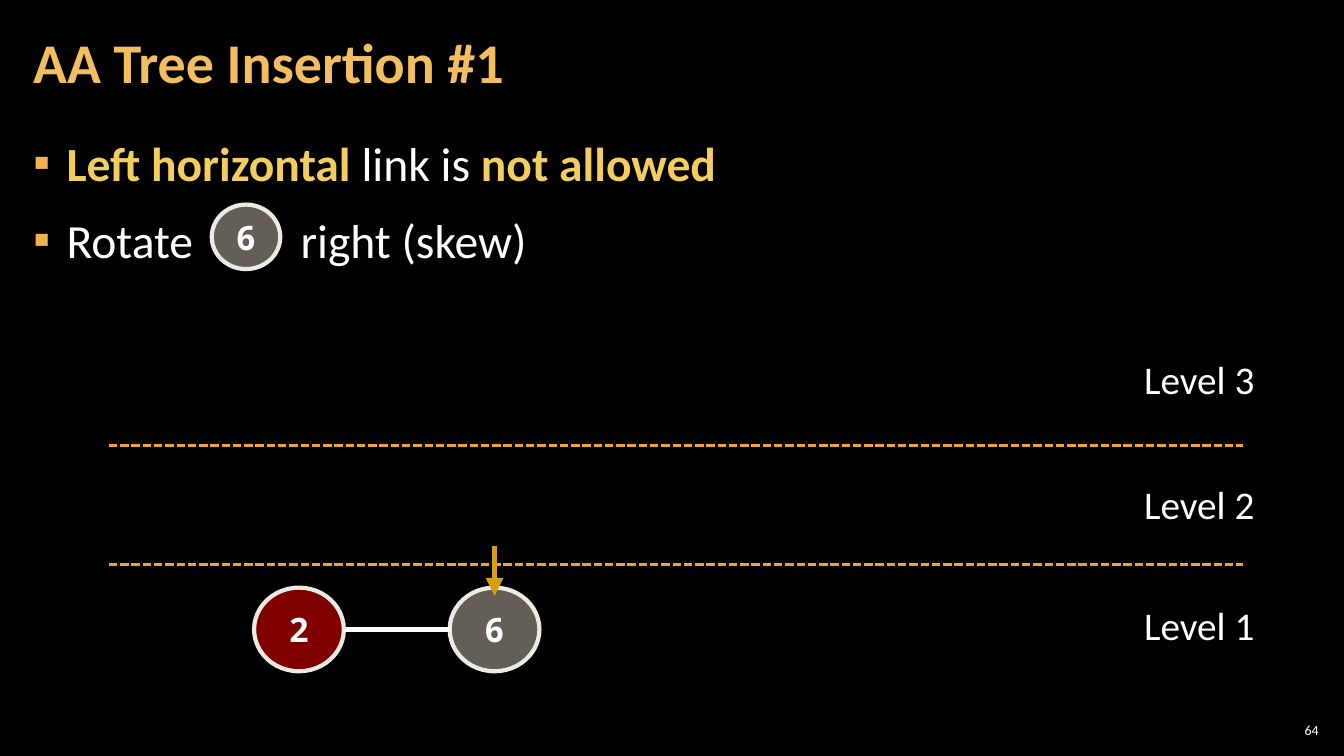
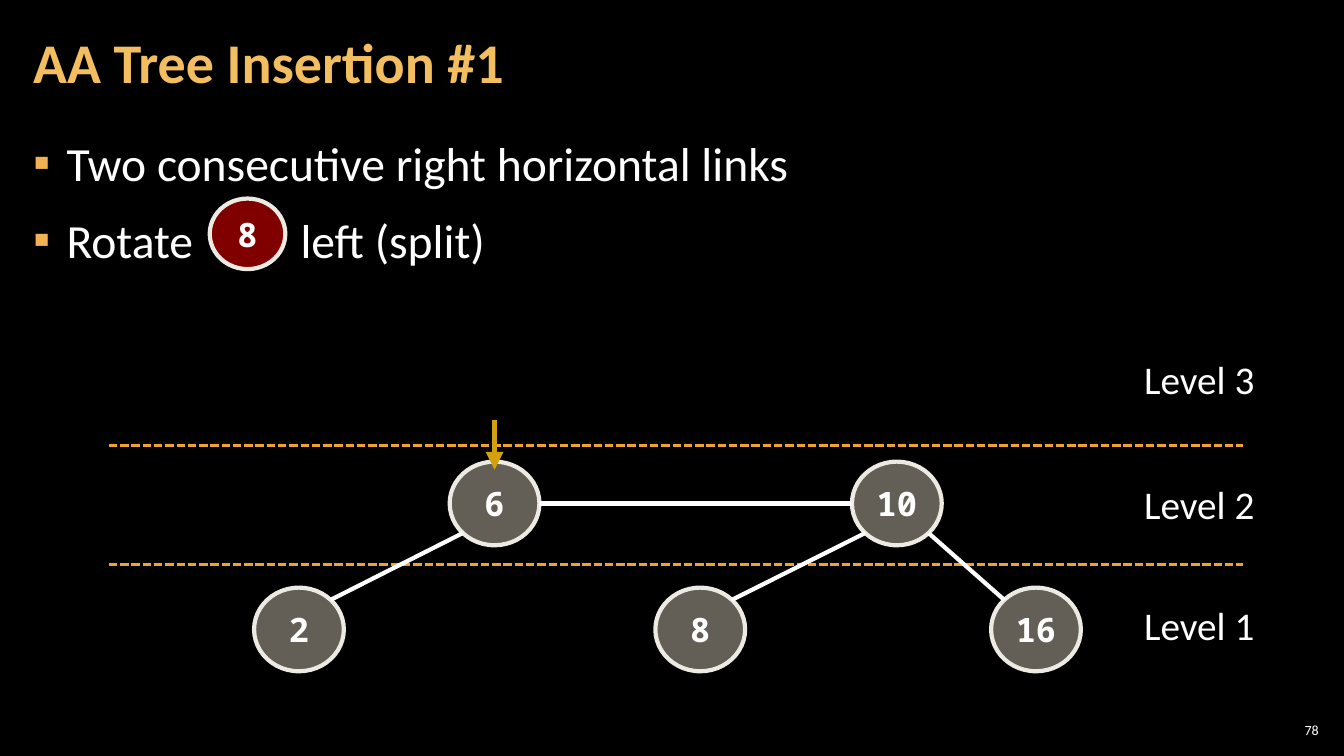
from math import copysign, sqrt

from lxml import etree
from pptx import Presentation
from pptx.dml.color import RGBColor
from pptx.enum.dml import MSO_LINE
from pptx.enum.shapes import MSO_CONNECTOR, MSO_SHAPE
from pptx.enum.text import MSO_ANCHOR, MSO_AUTO_SIZE, PP_ALIGN
from pptx.oxml.ns import qn
from pptx.util import Inches, Pt

STRAIGHT = MSO_CONNECTOR.STRAIGHT
OVAL = MSO_SHAPE.OVAL
DASH = MSO_LINE.SQUARE_DOT
MIDDLE = MSO_ANCHOR.MIDDLE
CENTER, RIGHT = PP_ALIGN.CENTER, PP_ALIGN.RIGHT
FIT_SHAPE = MSO_AUTO_SIZE.SHAPE_TO_FIT_TEXT

BLACK, WHITE = "000000", "FFFFFF"
TITLE_GOLD, KEY_GOLD, BULLET_GOLD = "F3BE60", "F3CD60", "F2B254"
DIVIDER, POINTER = "F0A22E", "D2A010"
GREY, RED, RIM = "C7BFAC", "FF0000", "ECEAE3"
BODY_FONT, NODE_FONT = "Calibri", "Noto Sans Mono"

NODE_W, NODE_H = 0.89, 0.83
NODE_TOP = {1: 5.83, 2: 4.58}
LABEL_TOP = {1: 5.92, 2: 4.72, 3: 3.48}
DIVIDER_Y = [5.6, 4.42]
ROTATE_GAP = 69  # extra points on the space that leaves room for a node

rgb = RGBColor.from_string


def add_text(shape, paragraphs, size, font=BODY_FONT, align=None, inset=None):
    """Fill a shape; each paragraph is a list of (text, colour, bold)."""
    tf = shape.text_frame
    tf.word_wrap = False
    if inset:
        tf.margin_left = tf.margin_right = Inches(inset)
        tf.margin_top = tf.margin_bottom = Inches(0.04)
    for i, runs in enumerate(paragraphs):
        p = tf.paragraphs[0] if i == 0 else tf.add_paragraph()
        p.alignment = align
        for text, color, bold in runs:
            r = p.add_run()
            r.text = text
            r.font.size, r.font.name, r.font.bold = Pt(size), font, bold
            r.font.color.rgb = rgb(color)
    return tf


def add_line(s, start, end, color, width):
    line = s.shapes.add_connector(STRAIGHT, *map(Inches, (*start, *end)))
    line.line.color.rgb = rgb(color)
    line.line.width = Pt(width)
    etree.SubElement(line._element.spPr, qn("a:effectLst"))
    return line


# Slide contents: nodes are value -> (left, level, colour)
slides = [
    {
        "number": "64",
        "bullets": [
            [("Left horizontal ", KEY_GOLD, True), ("link is ", WHITE, False),
             ("not allowed", KEY_GOLD, True)],
            [("Rotate", WHITE, False), (" ", WHITE, False),
             ("right (skew)", WHITE, False)],
        ],
        "nodes": {"6": (4.46, 1, GREY), "2": (2.52, 1, RED)},
        "links": [("6", "2")],
        "rotated": ("6", GREY, (2.1, 2.03, 0.68, 0.64)),
    },
    {
        "number": "78",
        "bullets": [
            [("Two consecutive right horizontal links", WHITE, False)],
            [("Rotate", WHITE, False), (" ", WHITE, False),
             ("left (split)", WHITE, False)],
        ],
        "nodes": {"6": (4.46, 2, GREY), "2": (2.52, 1, GREY),
                  "8": (6.5, 1, GREY), "10": (8.45, 2, GREY),
                  "16": (9.83, 1, GREY)},
        "links": [("6", "2"), ("10", "6"), ("10", "8"), ("10", "16")],
        "rotated": ("8", RED, (2.08, 1.97, 0.75, 0.7)),
    },
]

prs = Presentation()
prs.slide_width, prs.slide_height = Inches(13.33), Inches(7.5)
background = prs.slide_master.background.fill
background.solid()
background.fore_color.rgb = rgb(BLACK)

for content in slides:
    s = prs.slides.add_slide(prs.slide_layouts[6])

    # Slide number
    sp = s.shapes.add_textbox(*map(Inches, (12.65, 7.14, 0.47, 0.21)))
    tf = add_text(sp, [[(content["number"], WHITE, False)]], 10,
                  align=RIGHT, inset=0.04)
    tf.vertical_anchor = MIDDLE
    tf.word_wrap = True

    # Bullets
    sp = s.shapes.add_textbox(*map(Inches, (0.21, 1.26, 12.91, 6.09)))
    tf = add_text(sp, content["bullets"], 34, inset=0.12)
    tf.word_wrap = True
    for p in tf.paragraphs:
        p.line_spacing = 1.05
        p.space_before = p.space_after = Pt(6)
        pPr = p._p.get_or_add_pPr()
        pPr.set("marL", str(Inches(0.33)))
        pPr.set("indent", str(-Inches(0.33)))
        bullet_color = etree.SubElement(pPr, qn("a:buClr"))
        etree.SubElement(bullet_color, qn("a:srgbClr"), val=BULLET_GOLD)
        etree.SubElement(pPr, qn("a:buFont"), typeface=BODY_FONT)
        etree.SubElement(pPr, qn("a:buChar"), char="▪")
    gap = tf.paragraphs[1].runs[1]
    gap._r.get_or_add_rPr().set("spc", str(ROTATE_GAP * 100))

    # Title
    sp = s.shapes.add_textbox(*map(Inches, (0.21, 0.04, 10.47, 1.21)))
    tf = add_text(sp, [[("AA Tree Insertion #1", TITLE_GOLD, True)]], 40,
                  inset=0.12)
    tf.vertical_anchor = MIDDLE
    tf.word_wrap = True
    tf.paragraphs[0].line_spacing = 0.9

    # Levels
    for y in DIVIDER_Y:
        line = add_line(s, (1.08, y), (12.33, y), DIVIDER, 2)
        line.line.dash_style = DASH
    for level, top in LABEL_TOP.items():
        sp = s.shapes.add_textbox(*map(Inches, (11.25, top, 1.31, 0.57)))
        tf = add_text(sp, [[(f"Level {level}", WHITE, False)]], 28)
        tf.auto_size = FIT_SHAPE

    # Tree nodes, and the rotated node in the second bullet
    nodes = [(value, color, (left, NODE_TOP[level], NODE_W, NODE_H))
             for value, (left, level, color) in content["nodes"].items()]
    for value, color, box in nodes + [content["rotated"]]:
        sp = s.shapes.add_shape(OVAL, *map(Inches, box))
        sp.shadow.inherit = False
        sp.fill.solid()
        sp.fill.fore_color.rgb = rgb(color)
        srgb = sp._element.spPr.find(".//" + qn("a:srgbClr"))
        etree.SubElement(srgb, qn("a:alpha"), val="50000")
        sp.line.color.rgb = rgb(RIM)
        sp.line.width = Pt(3)
        tf = add_text(sp, [[(value, WHITE, True)]], 24, NODE_FONT, CENTER)
        tf.vertical_anchor = MIDDLE

    # Links: side to side on one level, diagonal between levels
    for parent, child in content["links"]:
        x1, level1, _ = content["nodes"][parent]
        x2, level2, _ = content["nodes"][child]
        reach = 1 if level1 == level2 else sqrt(0.5)
        dx = copysign(reach * NODE_W / 2, x2 - x1)
        dy = 0 if level1 == level2 else reach * NODE_H / 2
        start = (x1 + NODE_W / 2 + dx, NODE_TOP[level1] + NODE_H / 2 + dy)
        end = (x2 + NODE_W / 2 - dx, NODE_TOP[level2] + NODE_H / 2 - dy)
        add_line(s, start, end, WHITE, 3)

    # Pointer to node 6
    left, level, _ = content["nodes"]["6"]
    x, top = left + NODE_W / 2, NODE_TOP[level]
    arrow = add_line(s, (x, top - 0.41), (x, top + 0.08), POINTER, 4.25)
    etree.SubElement(arrow.line._get_or_add_ln(), qn("a:tailEnd"),
                     type="triangle")

prs.save("out.pptx")
